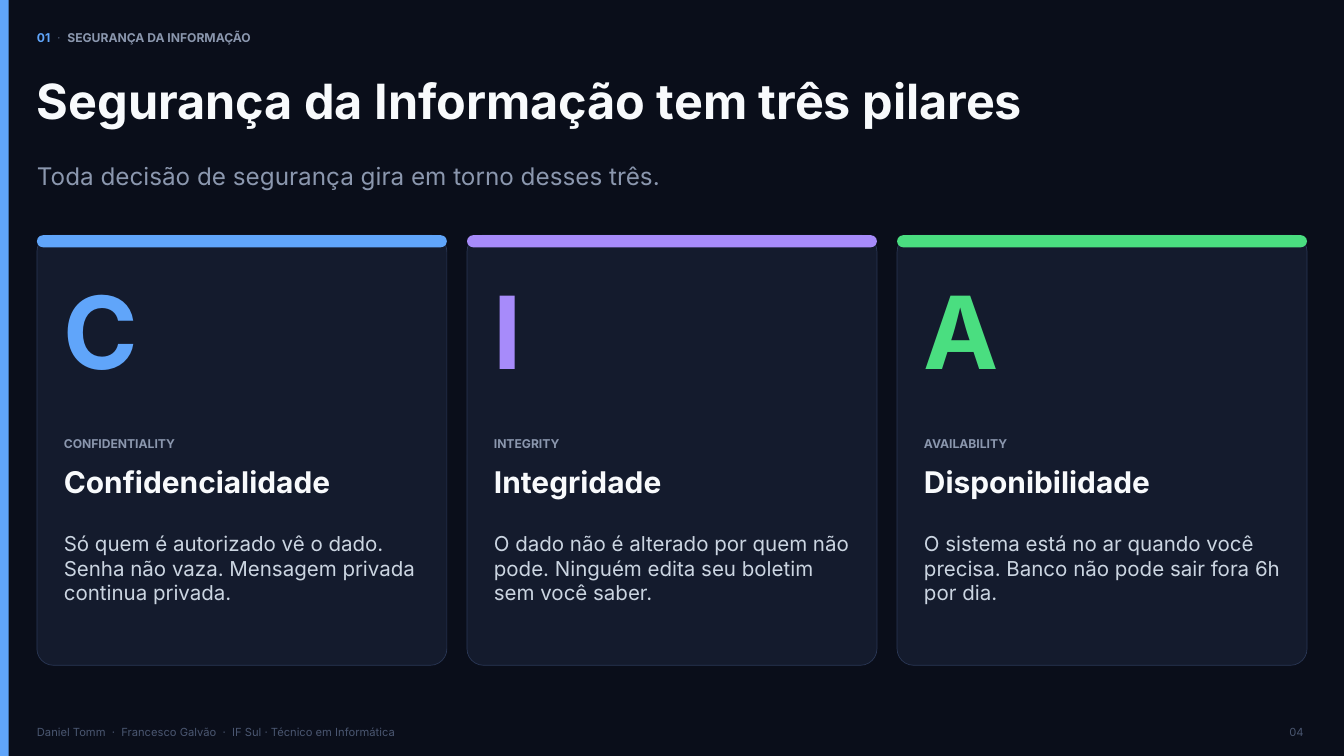
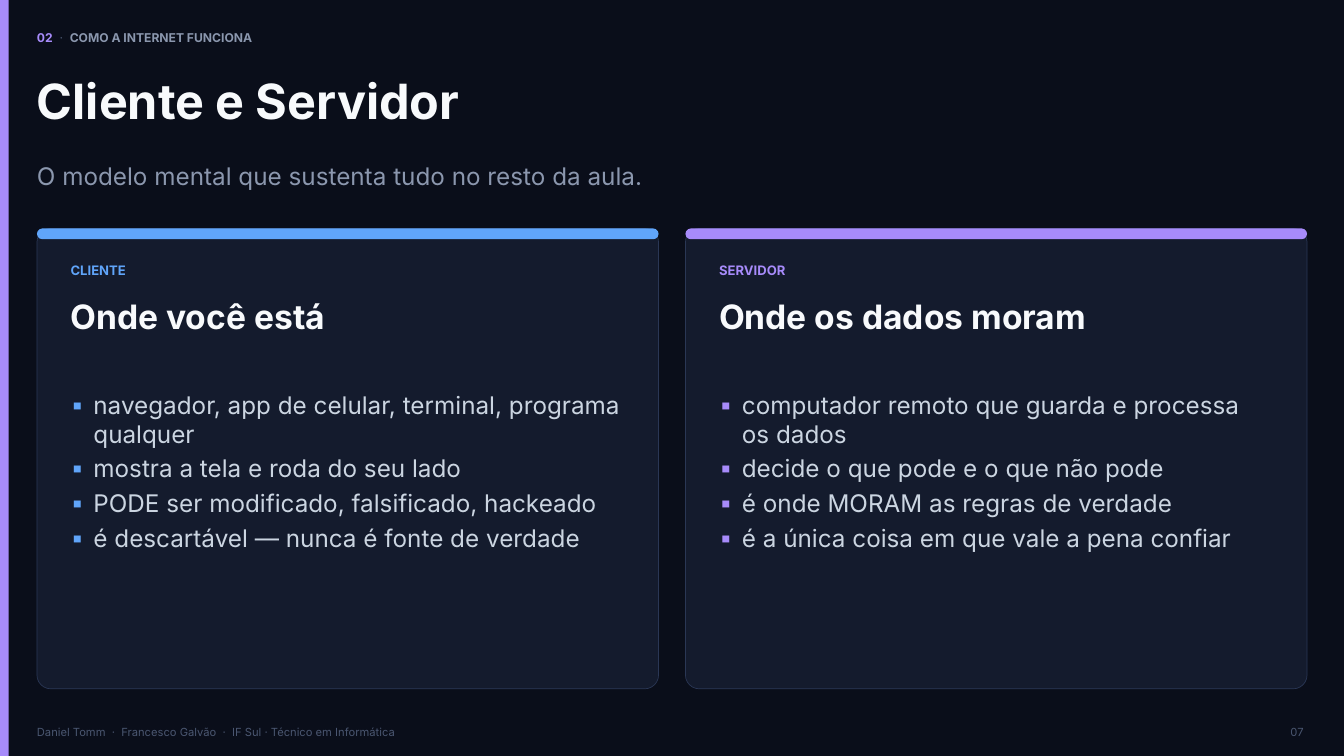
from lxml.etree import SubElement
from pptx import Presentation
from pptx.dml.color import RGBColor
from pptx.enum.shapes import MSO_SHAPE
from pptx.enum.text import MSO_ANCHOR, MSO_AUTO_SIZE, PP_ALIGN
from pptx.oxml.ns import qn
from pptx.util import Inches, Pt

NIGHT = RGBColor(0x0A, 0x0E, 0x1A)
PANEL = RGBColor(0x14, 0x1B, 0x2D)
BORDER = RGBColor(0x2A, 0x37, 0x55)
WHITE = RGBColor(0xF8, 0xFA, 0xFC)
LIGHT = RGBColor(0xCB, 0xD5, 0xE1)
MUTED = RGBColor(0x8B, 0x97, 0xAE)
FAINT = RGBColor(0x4A, 0x56, 0x70)
BLUE = RGBColor(0x60, 0xA5, 0xFA)
PURPLE = RGBColor(0xA7, 0x8B, 0xFA)
GREEN = RGBColor(0x4A, 0xDE, 0x80)

FONT = "Inter"
WIDTH, HEIGHT = 20, 11.25
MARGIN = 0.55
CONTENT_WIDTH = WIDTH - 2 * MARGIN
BULLET_INDENT = 0.34
CREDITS = "Daniel Tomm  ·  Francesco Galvão  ·  IF Sul · Técnico em Informática"

PILLARS_SLIDE = {
    "section": ("01", "SEGURANÇA DA INFORMAÇÃO"),
    "accent": BLUE,
    "title": "Segurança da Informação tem três pilares",
    "subtitle": "Toda decisão de segurança gira em torno desses três.",
    "page": "04",
}
PILLARS = [
    ("C", "CONFIDENTIALITY", "Confidencialidade",
     "Só quem é autorizado vê o dado. Senha não vaza. Mensagem privada continua privada.", BLUE),
    ("I", "INTEGRITY", "Integridade",
     "O dado não é alterado por quem não pode. Ninguém edita seu boletim sem você saber.", PURPLE),
    ("A", "AVAILABILITY", "Disponibilidade",
     "O sistema está no ar quando você precisa. Banco não pode sair fora 6h por dia.", GREEN),
]

ROLES_SLIDE = {
    "section": ("02", "COMO A INTERNET FUNCIONA"),
    "accent": PURPLE,
    "title": "Cliente e Servidor",
    "subtitle": "O modelo mental que sustenta tudo no resto da aula.",
    "page": "07",
}
ROLES = [
    ("CLIENTE", "Onde você está", [
        "navegador, app de celular, terminal, programa qualquer",
        "mostra a tela e roda do seu lado",
        "PODE ser modificado, falsificado, hackeado",
        "é descartável — nunca é fonte de verdade",
    ], BLUE),
    ("SERVIDOR", "Onde os dados moram", [
        "computador remoto que guarda e processa os dados",
        "decide o que pode e o que não pode",
        "é onde MORAM as regras de verdade",
        "é a única coisa em que vale a pena confiar",
    ], PURPLE),
]


def add_bullet(paragraph, color):
    properties = paragraph._p.get_or_add_pPr()
    properties.set("marL", str(Inches(BULLET_INDENT)))
    properties.set("indent", str(-Inches(BULLET_INDENT)))
    bullet_color = SubElement(properties, qn("a:buClr"))
    SubElement(bullet_color, qn("a:srgbClr"), val=str(color))
    SubElement(properties, qn("a:buFont"), typeface=FONT)
    SubElement(properties, qn("a:buChar"), char="▪")


def write(slide, text, left, top, width, height, size=12, color=WHITE, bold=False,
          align=PP_ALIGN.LEFT, bullet=None, space_after=0, holder=None):
    """Text is a string, or a list of paragraphs, each a string or a list of (text, color, bold)."""
    box = holder or slide.shapes.add_textbox(0, 0, 0, 0)
    box.left, box.top = Inches(left), Inches(top)
    box.width, box.height = Inches(width), Inches(height)
    frame = box.text_frame
    frame.word_wrap = True
    frame.auto_size = MSO_AUTO_SIZE.NONE
    frame.vertical_anchor = MSO_ANCHOR.TOP
    frame.margin_left = frame.margin_right = frame.margin_top = frame.margin_bottom = 0
    for index, content in enumerate([text] if isinstance(text, str) else text):
        paragraph = frame.add_paragraph() if index else frame.paragraphs[0]
        paragraph.alignment = align
        if bullet is not None:
            add_bullet(paragraph, bullet)
        if space_after:
            paragraph.space_after = Pt(space_after)
        pieces = [(content, color, bold)] if isinstance(content, str) else content
        for words, words_color, words_bold in pieces:
            run = paragraph.add_run()
            run.text = words
            run.font.name = FONT
            run.font.size = Pt(size)
            run.font.bold = words_bold
            run.font.color.rgb = words_color


def add_block(slide, left, top, width, height, fill, rounding=None, border=None):
    preset = MSO_SHAPE.RECTANGLE if rounding is None else MSO_SHAPE.ROUNDED_RECTANGLE
    block = slide.shapes.add_shape(preset, Inches(left), Inches(top), Inches(width), Inches(height))
    block.shadow.inherit = False
    block.fill.solid()
    block.fill.fore_color.rgb = fill
    if rounding is not None:
        block.adjustments[0] = rounding
    if border is None:
        block.line.fill.background()
    else:
        block.line.color.rgb = border
        block.line.width = Pt(0.75)


def add_card(slide, left, top, width, height, accent, rounding, band):
    add_block(slide, left, top, width, height, PANEL, rounding, BORDER)
    add_block(slide, left, top, width, band, accent, 0.5)


def columns(count, gap):
    width = (CONTENT_WIDTH - gap * (count - 1)) / count
    return width, [MARGIN + index * (width + gap) for index in range(count)]


def start_slide(deck, section, accent, title, subtitle, page):
    slide = deck.slides.add_slide(deck.slide_layouts[5])
    number, section_name = section
    add_block(slide, 0, 0, 0.13, HEIGHT, accent)
    write(slide, [[(number, accent, True), ("  ·  ", FAINT, False), (section_name, MUTED, True)]],
          MARGIN, 0.45, 15, 0.4, size=13)
    write(slide, CREDITS, MARGIN, 10.8, 12, 0.35, color=FAINT)
    write(slide, page, 18.8, 10.8, 0.6, 0.35, color=FAINT, align=PP_ALIGN.RIGHT)
    write(slide, title, MARGIN, 1.05, CONTENT_WIDTH, 1.6, size=52, bold=True,
          holder=slide.shapes.title)
    write(slide, subtitle, MARGIN, 2.4, CONTENT_WIDTH, 0.7, size=26, color=MUTED)
    return slide


def build_pillars(deck):
    slide = start_slide(deck, **PILLARS_SLIDE)
    width, lefts = columns(len(PILLARS), 0.3)
    padding = 0.4
    inner = width - 2 * padding
    for left, (letter, english, name, meaning, accent) in zip(lefts, PILLARS):
        add_card(slide, left, 3.5, width, 6.4, accent, 0.04, 0.18)
        x = left + padding
        write(slide, letter, x, 4, inner, 2.4, size=108, color=accent, bold=True)
        write(slide, english, x, 6.5, inner, 0.4, size=13, color=MUTED, bold=True)
        write(slide, name, x, 6.9, inner, 0.9, size=32, bold=True)
        write(slide, meaning, x, 7.9, inner, 1.8, size=22, color=LIGHT)


def build_roles(deck):
    slide = start_slide(deck, **ROLES_SLIDE)
    width, lefts = columns(len(ROLES), 0.4)
    padding = 0.5
    inner = width - 2 * padding
    for left, (role, heading, traits, accent) in zip(lefts, ROLES):
        add_card(slide, left, 3.4, width, 6.85, accent, 0.03, 0.16)
        x = left + padding
        write(slide, role, x, 3.9, inner, 0.4, size=14, color=accent, bold=True)
        write(slide, heading, x, 4.4, inner, 1, size=36, bold=True)
        write(slide, traits, x, 5.8, inner, 4.25, size=26, color=LIGHT,
              bullet=accent, space_after=6)


def main():
    deck = Presentation()
    deck.slide_width, deck.slide_height = Inches(WIDTH), Inches(HEIGHT)
    backdrop = deck.slide_master.background.fill
    backdrop.solid()
    backdrop.fore_color.rgb = NIGHT
    build_pillars(deck)
    build_roles(deck)
    deck.save("out.pptx")


if __name__ == "__main__":
    main()
